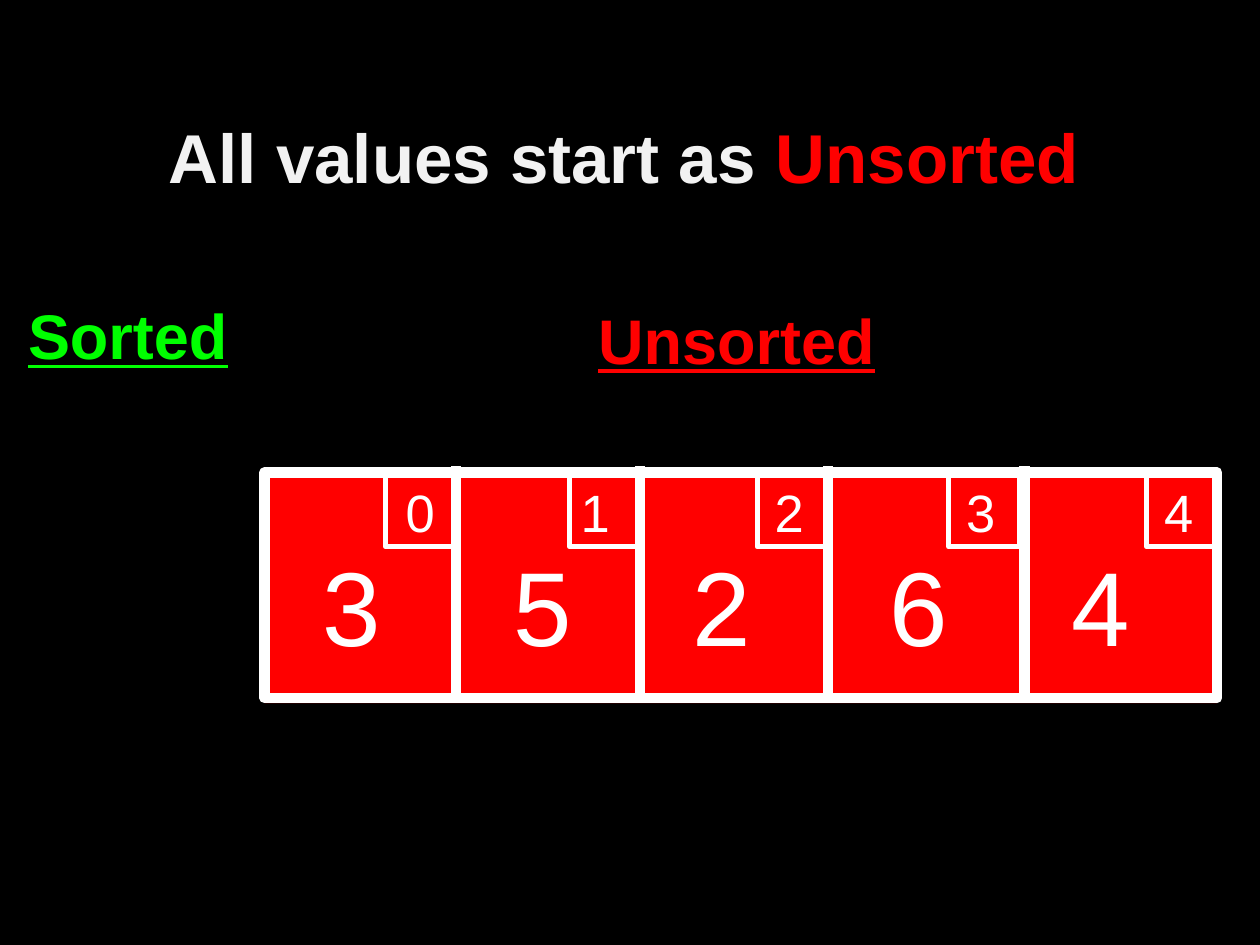
from lxml.etree import SubElement
from pptx import Presentation
from pptx.dml.color import RGBColor
from pptx.enum.shapes import MSO_CONNECTOR, MSO_SHAPE
from pptx.enum.text import MSO_ANCHOR, PP_ALIGN
from pptx.oxml.ns import qn
from pptx.util import Inches, Pt

COLORS = {"black": "000000", "white": "FFFFFF", "title": "F2F2F2",
          "unsorted": "FF0000", "sorted": "00FF00"}
TITLE = [("All values start as ", "title"), ("Unsorted", "unsorted")]
HEADINGS = [("Unsorted", "unsorted", (3.43, 1.65, 4.83, 2.08), 0.1),
            ("Sorted", "sorted", (0.09, 1.7, 2.3, 1.91), 0.55)]
CELLS = [("3", 2.46, 3.12), ("5", 3.98, 4.51), ("2", 5.4, 6.05),
         ("6", 6.96, 7.57), ("4", 8.41, 9.14)]
CELL_RIGHTS = [3.62, 5.08, 6.57, 8.09, 9.66]
DIVIDERS = CELL_RIGHTS[:3] + [8.13]
ARRAY_LEFT, ARRAY_TOP, ARRAY_WIDTH, ARRAY_HEIGHT = 2.1, 3.75, 7.56, 1.79
INDEX_WIDTH, INDEX_HEIGHT = 0.56, 0.6


def color(name):
    """Return the named palette colour."""
    return RGBColor.from_string(COLORS[name])


def style(font, size, color_name, bold=False, underline=False):
    """Apply the slide's typeface with the given look."""
    font.name, font.size = "Arial", Pt(size)
    font.bold, font.underline = bold, underline
    font.color.rgb = color(color_name)


def add_rect(slide, box, fill=None, line_width=0):
    """Add a plain rectangle with an optional fill and white outline."""
    rect = slide.shapes.add_shape(MSO_SHAPE.RECTANGLE, *map(Inches, box))
    rect.shadow.inherit = False
    if fill:
        rect.fill.solid()
        rect.fill.fore_color.rgb = color(fill)
    else:
        rect.fill.background()
    if line_width:
        rect.line.color.rgb = color("white")
        rect.line.width = Pt(line_width)
    else:
        rect.line.fill.background()


def add_divider(slide, x):
    """Add a vertical white line between two cells."""
    divider = slide.shapes.add_connector(
        MSO_CONNECTOR.STRAIGHT, *map(Inches, (x, 3.7, x, 5.52)))
    divider.line.color.rgb = color("white")
    divider.line.width = Pt(6)
    SubElement(divider._element.spPr, qn("a:effectLst"))


def add_text(slide, text, box, size, color_name="white", inset=0.1):
    """Add a one-paragraph text box and return its frame."""
    frame = slide.shapes.add_textbox(*map(Inches, box)).text_frame
    frame.word_wrap = True
    frame.margin_left = frame.margin_top = frame.margin_bottom = Inches(0.1)
    frame.margin_right = Inches(inset)
    paragraph = frame.paragraphs[0]
    paragraph.text = text
    style(paragraph.font, size, color_name)
    return frame


def add_title(slide):
    """Place the two-coloured title."""
    title = slide.shapes.title
    title.left, title.top, title.width, title.height = map(
        Inches, (1.24, 0.86, 7.77, 1.21))
    frame = title.text_frame
    frame.word_wrap = True
    frame.vertical_anchor = MSO_ANCHOR.TOP
    paragraph = frame.paragraphs[0]
    paragraph.alignment = PP_ALIGN.LEFT
    for text, color_name in TITLE:
        run = paragraph.add_run()
        run.text = text
        style(run.font, 39.5, color_name, bold=True)


def main():
    """Build the slide showing an array that is still unsorted."""
    deck = Presentation()
    deck.slide_width, deck.slide_height = Inches(10), Inches(7.5)
    slide = deck.slides.add_slide(deck.slide_layouts[5])
    slide.background.fill.solid()
    slide.background.fill.fore_color.rgb = color("black")
    add_title(slide)

    add_rect(slide, (ARRAY_LEFT, ARRAY_TOP + 0.04, ARRAY_WIDTH, ARRAY_HEIGHT),
             fill="unsorted")
    add_rect(slide, (ARRAY_LEFT, ARRAY_TOP, ARRAY_WIDTH, ARRAY_HEIGHT),
             line_width=6)
    for x in DIVIDERS:
        add_divider(slide, x)
    for index, (cell, right) in enumerate(zip(CELLS, CELL_RIGHTS)):
        value, value_left, index_left = cell
        add_rect(slide, (right - INDEX_WIDTH, 3.74, INDEX_WIDTH, INDEX_HEIGHT),
                 line_width=3)
        add_text(slide, str(index), (index_left, 3.71, 0.48, 0.65), 30)
        add_text(slide, value, (value_left, 4.2, 0.9, 1.13), 60)

    for text, color_name, box, inset in HEADINGS:
        frame = add_text(slide, text, box, 36, color_name, inset)
        frame.vertical_anchor = MSO_ANCHOR.MIDDLE
        heading = frame.paragraphs[0]
        heading.alignment = PP_ALIGN.CENTER
        style(heading.font, 36, color_name, bold=True, underline=True)

    deck.save("out.pptx")


if __name__ == "__main__":
    main()
